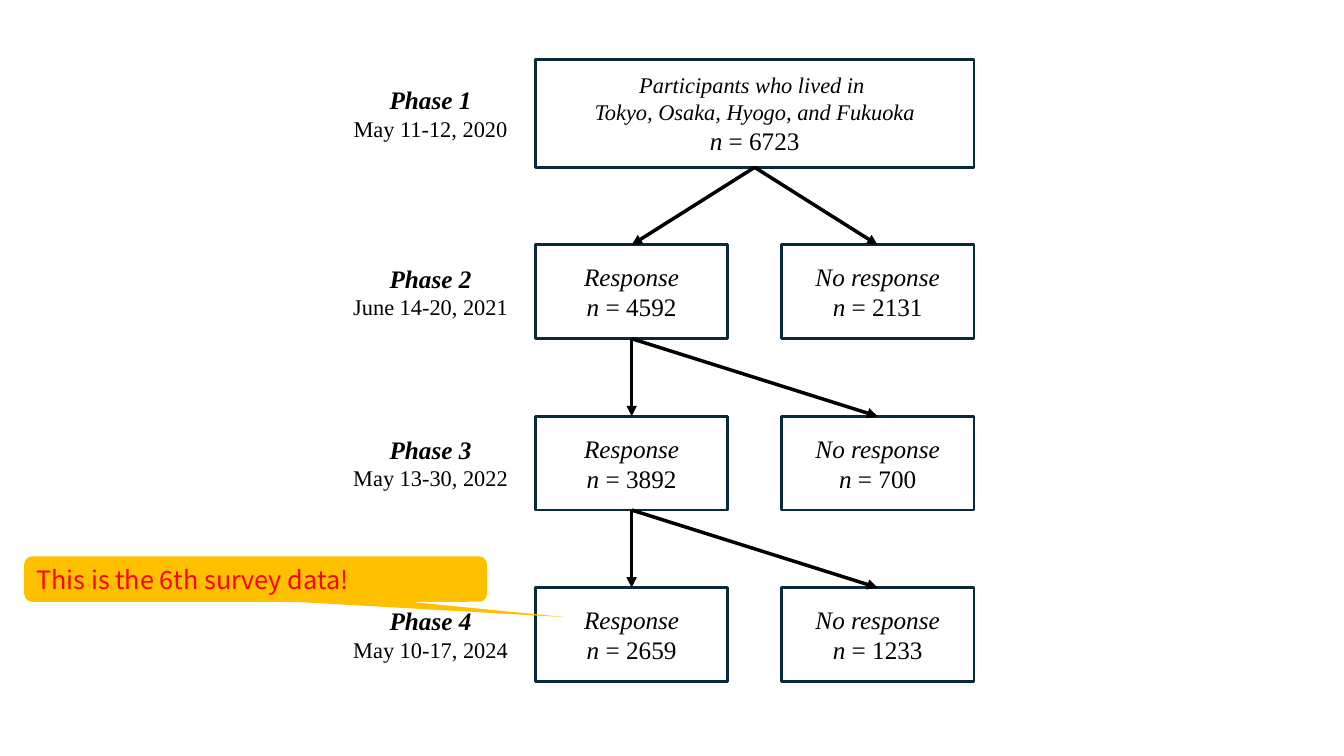
"""Build a flow chart slide of survey participants over four phases."""
from lxml import etree
from pptx import Presentation
from pptx.dml.color import RGBColor
from pptx.enum.shapes import MSO_CONNECTOR as CONNECTOR, MSO_SHAPE as SHAPE
from pptx.enum.text import MSO_ANCHOR as ANCHOR, MSO_AUTO_SIZE as AUTO_SIZE, PP_ALIGN as ALIGN
from pptx.oxml.ns import qn
from pptx.util import Inches, Pt

START = ["Participants who lived in ", "Tokyo, Osaka, Hyogo, and Fukuoka"]
START_COUNT = 6723
DATES = ["May 11-12, 2020", "June 14-20, 2021", "May 13-30, 2022", "May 10-17, 2024"]
COUNTS = [(4592, 2131), (3892, 700), (2659, 1233)]
NOTE = "This is the 6th survey data!"

SERIF, SANS = "Times New Roman", "Noto Sans CJK JP"
BLACK, NAVY, RED, AMBER = "000000", "092A39", "FF0000", "FFC000"
LEFT, RIGHT = 5.31, 7.75
BOX_WIDTH, BOX_HEIGHT = 1.91, 0.93
START_TOP, START_HEIGHT = 0.59, 1.07
FIRST_TOP, ROW_STEP = 2.43, 1.7
LABEL_LEFT, LABEL_WIDTH, LABEL_HEIGHT = 3.36, 1.82, 0.67


def color(value):
    return RGBColor.from_string(value)


def style(paragraph, size, italic=False, bold=False, font=SERIF, ink=BLACK, align=ALIGN.CENTER):
    paragraph.alignment = align
    paragraph.font.name = font
    paragraph.font.size = Pt(size)
    paragraph.font.italic = italic
    paragraph.font.bold = bold
    paragraph.font.color.rgb = color(ink)


def add_box(slide, left, top, width, height, lines, size, count):
    box = slide.shapes.add_shape(SHAPE.RECTANGLE, *map(Inches, (left, top, width, height)))
    box.shadow.inherit = False
    box.fill.background()
    box.line.color.rgb = color(NAVY)
    box.line.width = Pt(2)
    frame = box.text_frame
    frame.word_wrap = True
    frame.vertical_anchor = ANCHOR.MIDDLE
    frame.text = "\n".join(lines)
    for paragraph in frame.paragraphs:
        style(paragraph, size, italic=True)
    total = frame.add_paragraph()
    style(total, 18)
    symbol = total.add_run()
    symbol.text = "n"
    symbol.font.italic = True
    total.add_run().text = f" = {count}"
    return box


def add_label(slide, middle, phase, date):
    top = middle - LABEL_HEIGHT / 2
    label = slide.shapes.add_textbox(*map(Inches, (LABEL_LEFT, top, LABEL_WIDTH, LABEL_HEIGHT)))
    frame = label.text_frame
    frame.word_wrap = True
    frame.auto_size = AUTO_SIZE.SHAPE_TO_FIT_TEXT
    frame.text = f"Phase {phase}\n{date}"
    title, period = frame.paragraphs
    style(title, 18, italic=True, bold=True)
    style(period, 16)


def add_arrow(slide, source, target):
    arrow = slide.shapes.add_connector(CONNECTOR.STRAIGHT, 0, 0, 0, 0)
    arrow.begin_connect(source, 2)
    arrow.end_connect(target, 0)
    arrow.line.color.rgb = color(BLACK)
    arrow.line.width = Pt(2.5)
    etree.SubElement(arrow.line._get_or_add_ln(), qn("a:tailEnd"), type="triangle")
    etree.SubElement(arrow._element.spPr, qn("a:effectLst"))


def add_note(slide):
    note = slide.shapes.add_shape(SHAPE.ROUNDED_RECTANGULAR_CALLOUT,
                                  *map(Inches, (0.24, 5.52, 4.59, 0.45)))
    for index, value in enumerate((0.67, 0.84, 0.17)):
        note.adjustments[index] = value
    note.shadow.inherit = False
    note.fill.solid()
    note.fill.fore_color.rgb = color(AMBER)
    note.line.fill.background()
    frame = note.text_frame
    frame.word_wrap = True
    frame.auto_size = AUTO_SIZE.SHAPE_TO_FIT_TEXT
    frame.vertical_anchor = ANCHOR.MIDDLE
    frame.text = NOTE
    style(frame.paragraphs[0], 18, font=SANS, ink=RED, align=ALIGN.LEFT)


def main():
    presentation = Presentation()
    presentation.slide_width, presentation.slide_height = Inches(13.33), Inches(7.5)
    slide = presentation.slides.add_slide(presentation.slide_layouts[6])

    start_width = RIGHT + BOX_WIDTH - LEFT
    source = add_box(slide, LEFT, START_TOP, start_width, START_HEIGHT, START, 16, START_COUNT)
    middles = [START_TOP + START_HEIGHT / 2]
    links = []
    for row, (answered, missing) in enumerate(COUNTS):
        top = FIRST_TOP + row * ROW_STEP
        middles.append(top + BOX_HEIGHT / 2)
        lost = add_box(slide, RIGHT, top, BOX_WIDTH, BOX_HEIGHT, ["No response"], 18, missing)
        kept = add_box(slide, LEFT, top, BOX_WIDTH, BOX_HEIGHT, ["Response"], 18, answered)
        links += [(source, kept), (source, lost)]
        source = kept

    for phase, (middle, date) in enumerate(zip(middles, DATES), 1):
        add_label(slide, middle, phase, date)
    for link in links:
        add_arrow(slide, *link)
    add_note(slide)
    presentation.save("out.pptx")


if __name__ == "__main__":
    main()
